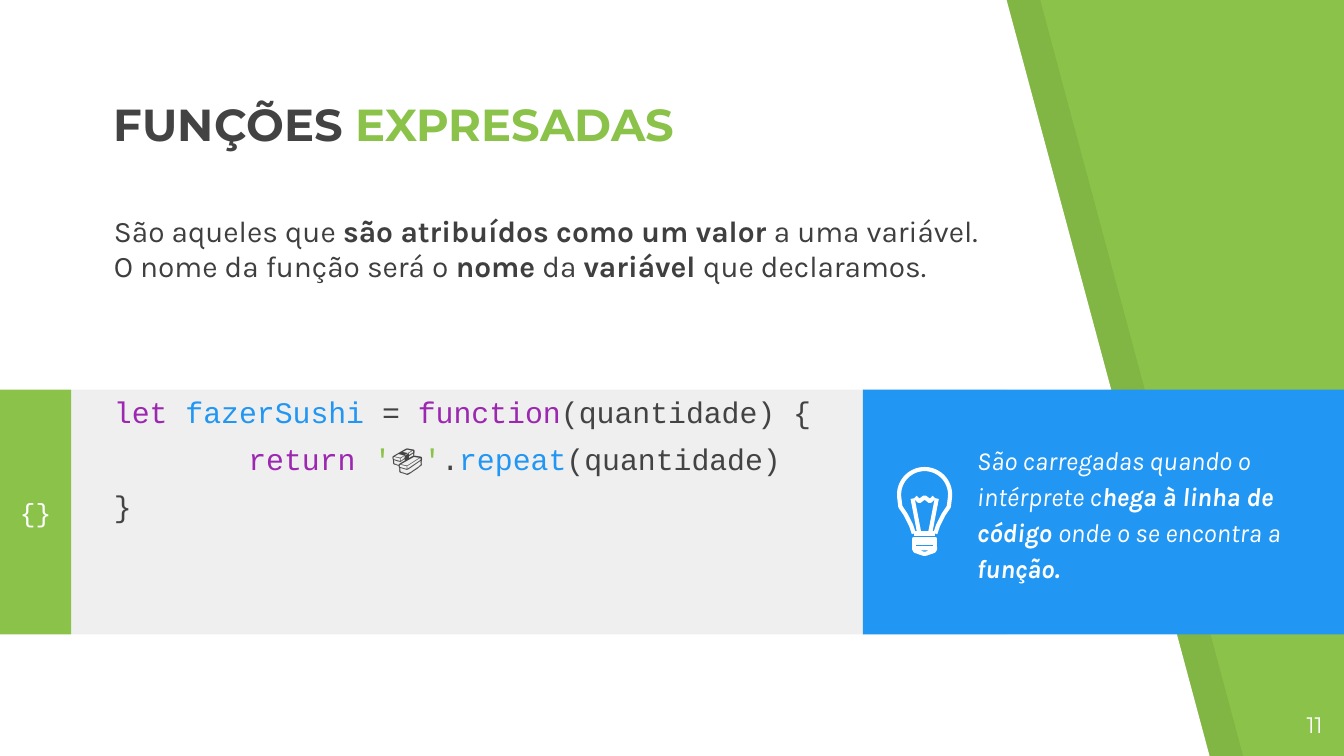
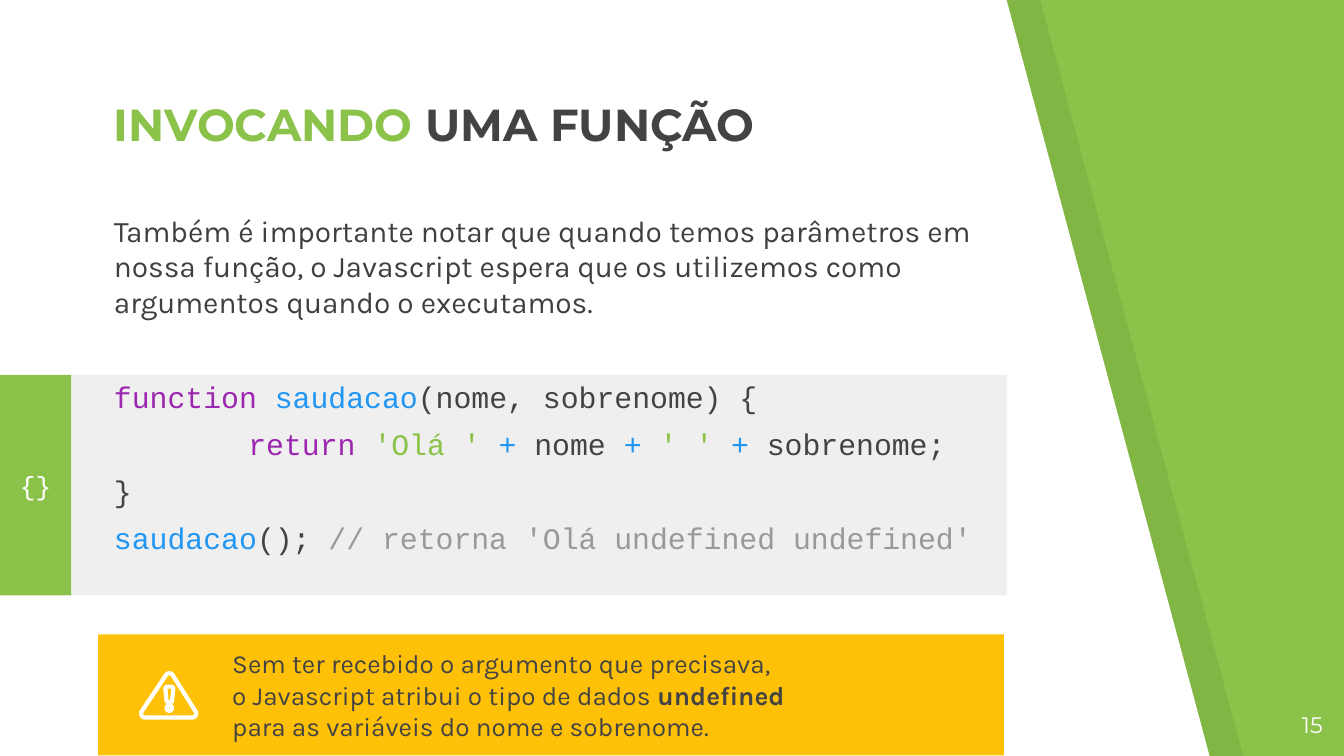
"""Build two slides on JavaScript functions."""
from dataclasses import dataclass
from math import cos, radians, sin

from lxml.etree import SubElement
from pptx import Presentation
from pptx.dml.color import RGBColor
from pptx.enum.shapes import MSO_CONNECTOR, MSO_SHAPE
from pptx.enum.text import MSO_ANCHOR, PP_ALIGN
from pptx.oxml.ns import qn
from pptx.util import Inches, Pt


@dataclass(frozen=True)
class Theme:
    """Colours, fonts and sizes shared by the slides."""
    green: str = "8BC34A"
    blue: str = "2196F3"
    purple: str = "9C27B0"
    amber: str = "FFC107"
    dark: str = "434343"
    body: str = "3F3F3F"
    comment: str = "999999"
    panel: str = "EFEFEF"
    white: str = "FFFFFF"
    black: str = "000000"
    heading_font: str = "Montserrat"
    body_font: str = "Karla"
    code_font: str = "Courier New"
    title_size: int = 24
    body_size: int = 16
    note_size: int = 14
    number_size: int = 12
    icon_line: float = 2.25


THEME = Theme()
WIDTH = 10
HEIGHT = WIDTH * 9 / 16
LEFT = 0.75
TEXT_WIDTH = 6.73


def bold(text):
    """Return a bold run."""
    return text, {"strong": True}


def tint(text, color):
    """Return a run in its own colour."""
    return text, {"color": color}


def keyword(text):
    """Return a run in the colour of code keywords."""
    return tint(text, THEME.purple)


def called(text):
    """Return a run in the colour of function names and operators."""
    return tint(text, THEME.blue)


def literal(text):
    """Return a run in the colour of string literals."""
    return tint(text, THEME.green)


def style_run(run, font, size, color, strong=False, italic=False):
    """Set the font of one run."""
    run.font.name = font
    run.font.size = Pt(size)
    run.font.color.rgb = RGBColor.from_string(color)
    run.font.bold = strong
    run.font.italic = italic


def add_tab_stop(paragraph, position):
    """Set a left tab stop on a paragraph."""
    stops = SubElement(paragraph._p.get_or_add_pPr(), qn("a:tabLst"))
    SubElement(stops, qn("a:tab"), pos=str(Inches(position)), algn="l")


def write(shape, paragraphs, align=PP_ALIGN.LEFT, anchor=MSO_ANCHOR.TOP,
          gap=0, indent=0, tab=0, spacing=None, **font):
    """Fill a shape with paragraphs made of plain or formatted runs."""
    frame = shape.text_frame
    frame.word_wrap = True
    frame.vertical_anchor = anchor
    frame.margin_left = frame.margin_right = Inches(0.1)
    frame.margin_top = frame.margin_bottom = Inches(0.1)
    for index, pieces in enumerate(paragraphs):
        paragraph = frame.add_paragraph() if index else frame.paragraphs[0]
        if tab:
            add_tab_stop(paragraph, tab)
        paragraph.alignment = align
        if index and gap:
            paragraph.space_before = Pt(gap)
        if spacing:
            paragraph.line_spacing = spacing
        if indent:
            properties = paragraph._p.get_or_add_pPr()
            properties.set("marL", str(Inches(indent)))
            properties.set("indent", "0")
        for piece in pieces:
            text, change = (piece, {}) if isinstance(piece, str) else piece
            run = paragraph.add_run()
            run.text = text
            style_run(run, **{**font, **change})


def add_text(slide, box, paragraphs, **style):
    """Add a text box at left, top, width, height."""
    write(slide.shapes.add_textbox(*map(Inches, box)), paragraphs, **style)


def paint(shape, color):
    """Give a shape a flat fill without line or shadow."""
    shape.shadow.inherit = False
    shape.fill.solid()
    shape.fill.fore_color.rgb = RGBColor.from_string(color)
    shape.line.fill.background()


def add_block(shapes, box, color, kind=MSO_SHAPE.RECTANGLE):
    """Add a flat coloured block."""
    block = shapes.add_shape(kind, *map(Inches, box))
    paint(block, color)
    return block


def trace(shapes, *outlines, close=True):
    """Build one freeform from outlines given in inches."""
    scaled = [[(Inches(x), Inches(y)) for x, y in line] for line in outlines]
    builder = shapes.build_freeform(*scaled[0][0])
    for index, points in enumerate(scaled):
        if index:
            builder.move_to(*points[0])
        builder.add_line_segments(points[1:], close=close)
    return builder.convert_to_shape()


def draw_white_line(line):
    """Set the stroke used by the icons."""
    line.color.rgb = RGBColor.from_string(THEME.white)
    line.width = Pt(THEME.icon_line)


def add_stroke(shapes, *outlines, close=True):
    """Add an unfilled white outline."""
    stroke = trace(shapes, *outlines, close=close)
    stroke.shadow.inherit = False
    stroke.fill.background()
    draw_white_line(stroke.line)


def arc(x, y, radius, start, end, steps=8):
    """Return points on an arc, with angles clockwise from the right."""
    angles = [radians(start + (end - start) * i / steps) for i in range(steps + 1)]
    return [(x + radius * cos(a), y + radius * sin(a)) for a in angles]


def add_bulb(slide):
    """Draw the light bulb icon."""
    middle = 6.88
    left, right = 6.8, 6.96
    shapes = slide.shapes.add_group_shape().shapes

    def mirror(points):
        return [(2 * middle - x, y) for x, y in points]

    for top, bottom in ((4.04, 4.08), (4.01, 4.04)):
        add_stroke(shapes, [(left, top), (right, top), (right, bottom), (left, bottom)])
    add_stroke(shapes, [(left, 4.08), (6.81, 4.1), (6.87, 4.12),
                        (6.89, 4.12), (6.95, 4.1), (right, 4.08)])
    neck = [(right, 3.97), (6.98, 3.91), (7.02, 3.83), (7.06, 3.77)]
    globe = arc(middle, 3.68, 0.19, 10, -190, 32)
    add_stroke(shapes, neck + globe + mirror(neck[::-1]), close=False)
    filament = [(6.97, 3.71), (6.92, 3.97)]
    for wire in (filament, mirror(filament)):
        add_stroke(shapes, wire, close=False)
    add_stroke(shapes, [(6.81, 3.7), (6.84, 3.73), (middle, 3.7),
                        (6.92, 3.73), (6.95, 3.7)], close=False)
    collar = shapes.add_connector(MSO_CONNECTOR.STRAIGHT, Inches(left), Inches(3.97),
                                  Inches(right), Inches(3.97))
    draw_white_line(collar.line)
    SubElement(collar._element.spPr, qn("a:effectLst"))


def add_warning(slide):
    """Draw the warning triangle icon."""
    triangle = (arc(1.08, 5.31, 0.03, 90, 210) + arc(1.26, 5.04, 0.03, 210, 330)
                + arc(1.43, 5.31, 0.03, -30, 90))
    stem = [(1.23, 5.12), (1.24, 5.11), (1.28, 5.11), (1.29, 5.12),
            (1.28, 5.22), (1.26, 5.23), (1.24, 5.22)]
    add_stroke(slide.shapes, triangle, arc(1.26, 5.27, 0.02, 0, 360, 16), stem)


def add_backdrop(slide):
    """Draw the green ground, the slanted sheet and its shade."""
    ground = slide.background.fill
    ground.solid()
    ground.fore_color.rgb = RGBColor.from_string(THEME.green)
    for shift, color in ((0.25, THEME.black), (0, THEME.white)):
        sheet = trace(slide.shapes, [(shift, 0), (shift, HEIGHT),
                                     (shift + 9, HEIGHT), (shift + 7.49, 0)])
        paint(sheet, color)
        if color == THEME.black:
            shade = sheet._element.spPr.find(".//" + qn("a:srgbClr"))
            SubElement(shade, qn("a:alpha")).set("val", "7000")


def add_code(slide, top, height, lines):
    """Add the code panel with its green tab and its lines."""
    tab_width = 0.53
    shapes = slide.shapes.add_group_shape().shapes
    add_block(shapes, (tab_width, top, 6.96, height), THEME.panel)
    tab = add_block(shapes, (0, top, tab_width, height), THEME.green)
    write(tab, [["{}"]], align=PP_ALIGN.CENTER, anchor=MSO_ANCHOR.MIDDLE,
          font=THEME.code_font, size=THEME.note_size, color=THEME.white)
    add_text(slide, (LEFT, top - 0.07, TEXT_WIDTH, height), lines, gap=6, tab=1,
             font=THEME.code_font, size=THEME.body_size, color=THEME.dark)


def add_callout(slide, box, fill, paragraphs, kind=MSO_SHAPE.RECTANGLE, **style):
    """Add a coloured note with room for an icon at its left."""
    note = add_block(slide.shapes, box, fill, kind)
    for index in range(len(note.adjustments)):
        note.adjustments[index] = 0
    write(note, paragraphs, anchor=MSO_ANCHOR.MIDDLE, font=THEME.body_font,
          size=THEME.note_size, **style)


def start_slide(deck, title, prose, number):
    """Add a slide with its backdrop, title, prose and page number."""
    slide = deck.slides.add_slide(deck.slide_layouts[6])
    add_backdrop(slide)
    add_text(slide, (9.34, 5.19, 0.6, 0.43), [[number]], align=PP_ALIGN.RIGHT,
             font=THEME.heading_font, size=THEME.number_size, color=THEME.white)
    add_text(slide, (LEFT, 0.77, TEXT_WIDTH, 0.45), [title], anchor=MSO_ANCHOR.BOTTOM,
             font=THEME.heading_font, size=THEME.title_size, color=THEME.dark, strong=True)
    add_text(slide, (LEFT, 1.48, TEXT_WIDTH, 1.2), [prose],
             font=THEME.body_font, size=THEME.body_size, color=THEME.body)
    return slide


def add_expressions(deck):
    """Build the slide on function expressions."""
    slide = start_slide(
        deck, ["FUNÇÕES ", tint("EXPRESADAS", THEME.green)],
        ["São aqueles que ", bold("são atribuídos como um valor"),
         " a uma variável. O nome da função será o ", bold("nome"), " da ",
         bold("variável "), "que declaramos."], "11")
    top, height = 2.9, 1.82
    add_code(slide, top, height, [
        [keyword("let "), called("fazerSushi "), "= ", keyword("function"),
         "(quantidade) {"],
        ["\t", keyword("return "), literal("'"), "🍣", literal("'"), ".",
         called("repeat"), "(quantidade)"],
        ["}"]])
    add_callout(slide, (6.42, top, WIDTH - 6.42, height), THEME.blue, [
        ["São carregadas quando o intérprete c", bold("hega à linha de código "),
         "onde o se encontra a"],
        [bold("função.")]], indent=0.75, spacing=1.15, color=THEME.white, italic=True)
    add_bulb(slide)


def add_invocation(deck):
    """Build the slide on calling a function."""
    slide = start_slide(
        deck, [tint("INVOCANDO ", THEME.green), "UMA FUNÇÃO"],
        ["Também é importante notar que quando temos parâmetros em nossa função, "
         "o Javascript espera que os utilizemos como argumentos quando o executamos."],
        "15")
    add_code(slide, 2.79, 1.64, [
        [keyword("function "), called("saudacao"), "(nome, sobrenome) {"],
        ["\t", keyword("return "), literal("'Olá ' "), called("+"), " nome ",
         called("+ "), literal("' '"), called(" +"), " sobrenome;"],
        ["}"],
        [called("saudacao"), "(); ",
         tint("// retorna 'Olá undefined undefined'", THEME.comment)]])
    add_callout(slide, (0.73, 4.72, 6.74, 0.9), THEME.amber, [
        ["Sem ter recebido o argumento que precisava,"],
        ["o Javascript atribui o tipo de dados ", bold("undefined")],
        ["para as variáveis do nome e sobrenome."]],
        kind=MSO_SHAPE.ROUND_2_DIAG_RECTANGLE, indent=0.9, color=THEME.dark)
    add_warning(slide)


def main():
    """Build and save the deck."""
    deck = Presentation()
    deck.slide_width, deck.slide_height = Inches(WIDTH), Inches(HEIGHT)
    add_expressions(deck)
    add_invocation(deck)
    deck.save("out.pptx")


if __name__ == "__main__":
    main()
